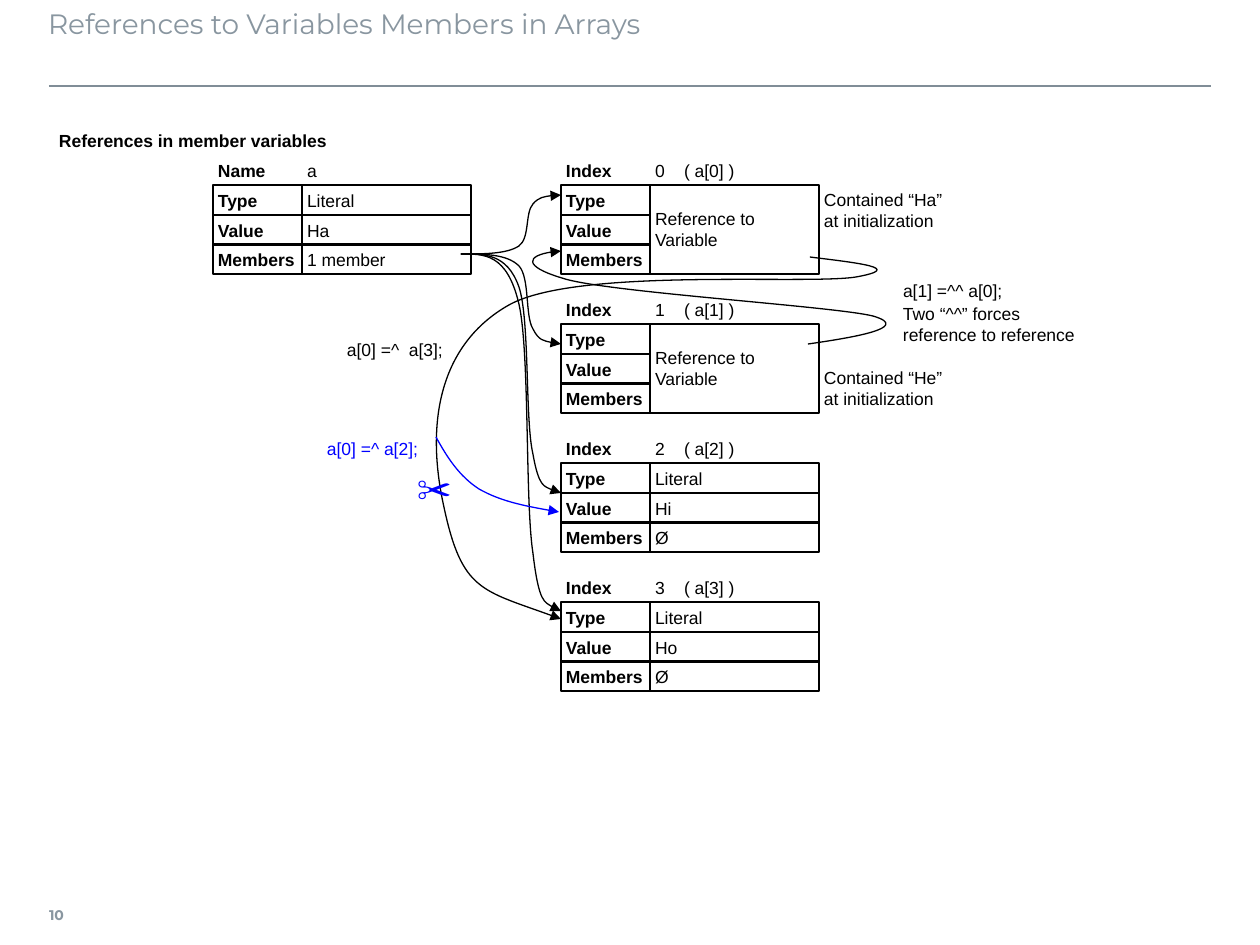
from dataclasses import dataclass

from lxml import etree
from pptx import Presentation
from pptx import util as u
from pptx.dml.color import RGBColor
from pptx.enum import shapes, text
from pptx.oxml.ns import qn

PX = 914400 / 126


@dataclass(frozen=True)
class Theme:
    ink: str = "000000"
    blue: str = "0000FF"
    heading: str = "8996A0"
    rule: str = "808D97"
    body_font: str = "Arial"
    title_font: str = "Montserrat"
    title_size: int = 16
    body_size: int = 10
    icon_size: int = 20
    number_size: int = 8
    stroke: float = 0.75


THEME = Theme()

TITLE = "References to Variables Members in Arrays"
SUBTITLE = "References in member variables"
REFERENCE = "Reference to\nVariable"
ROW_LABELS = ["Type", "Value", "Members"]

# left, top, heading label, heading value, row values (one value spans all rows)
RECORDS = [
    (213, 155, "Name", "a", ["Literal", "Ha", "1 member"]),
] + [
    (561, 155 + 139 * index, "Index", f"{index}\t( a[{index}] )", values)
    for index, values in enumerate([
        [REFERENCE],
        [REFERENCE],
        ["Literal", "Hi", "Ø"],
        ["Literal", "Ho", "Ø"],
    ])
]
LABEL_WIDTH, VALUE_WIDTH = 89, 169
RECORD_HEIGHT, ROW_HEIGHT = 119, 30
INDEX_TAB = 29

# text, (left, top, width, height), colour, size
NOTES = [
    (SUBTITLE, (54, 125, 89, 30), THEME.ink, THEME.body_size),
    ("Contained “Ha”\nat initialization", (819, 185, 139, 50), THEME.ink, THEME.body_size),
    ("Contained “He”\nat initialization", (819, 363, 139, 50), THEME.ink, THEME.body_size),
    ("✂", (412, 473, 49, 30), THEME.blue, THEME.icon_size),
    ("a[0] =^ a[2];", (322, 433, 139, 30), THEME.blue, THEME.body_size),
    ("a[0] =^  a[3];", (342, 334, 139, 30), THEME.ink, THEME.body_size),
    ("a[1] =^^ a[0];", (898, 275, 118, 30), THEME.ink, THEME.body_size),
    ("Two “^^” forces\nreference to reference", (898, 304, 189, 40), THEME.ink, THEME.body_size),
]

# Curves are a start point followed by three points per Bezier segment
MEMBER_X = [461, 484, 507, 519, 530, 525, 533, 539, 551, 561]
MEMBER_Y = [
    [254, 254, 254, 246, 238, 213, 204, 197, 195, 195],
    [254, 254, 254, 266, 278, 316, 329, 341, 343, 344],
    [254, 254, 253, 287, 320, 420, 454, 488, 490, 493],
    [254, 254, 253, 304, 353, 501, 553, 604, 607, 611],
]
CURVES = [(list(zip(MEMBER_X, heights)), THEME.ink) for heights in MEMBER_Y] + [
    ([(810, 257), (858, 263), (906, 268), (856, 277), (806, 285), (577, 267), (509, 305),
      (440, 344), (425, 422), (444, 507), (462, 591), (483, 590), (561, 619)], THEME.ink),
    ([(808, 344), (849, 338), (914, 328), (873, 316), (832, 306), (602, 292), (562, 278),
      (522, 266), (528, 253), (561, 251)], THEME.ink),
    ([(436, 437), (447, 457), (459, 476), (479, 489), (500, 501), (529, 507), (559, 512)],
     THEME.blue),
]


def emu(*lengths):
    return [u.Emu(round(length * PX)) for length in lengths]


def write(box, content, size=THEME.body_size, colour=THEME.ink, font=THEME.body_font,
          bold=False, wrap=False, anchor=text.MSO_ANCHOR.MIDDLE, insets=(5, 5, 5, 5)):
    frame = box.text_frame
    frame.auto_size = text.MSO_AUTO_SIZE.NONE
    frame.word_wrap = wrap
    frame.vertical_anchor = anchor
    (frame.margin_left, frame.margin_top,
     frame.margin_right, frame.margin_bottom) = emu(*insets)
    for number, line in enumerate(content.split("\n")):
        para = frame.add_paragraph() if number else frame.paragraphs[0]
        para.alignment = text.PP_ALIGN.LEFT
        if "\t" in line:
            tabs = etree.SubElement(para._p.get_or_add_pPr(), qn("a:tabLst"))
            etree.SubElement(tabs, qn("a:tab"), pos=str(emu(INDEX_TAB)[0]), algn="l")
        span = para.add_run()
        span.text = line
        span.font.size = u.Pt(size)
        span.font.name = font
        span.font.bold = bold
        span.font.color.rgb = RGBColor.from_string(colour)


def outline(shape, colour=THEME.ink):
    shape.shadow.inherit = False
    shape.fill.background()
    shape.line.color.rgb = RGBColor.from_string(colour)
    shape.line.width = u.Pt(THEME.stroke)


def add_label(page, place, content, **style):
    write(page.shapes.add_textbox(*emu(*place)), content, **style)


def add_cell(page, place, content, **style):
    cell = page.shapes.add_shape(shapes.MSO_SHAPE.RECTANGLE, *emu(*place))
    outline(cell)
    write(cell, content, **style)


def add_record(page, left, top, heading, name, values):
    value_left = left + LABEL_WIDTH
    edges = [top + round(RECORD_HEIGHT * row / 4) for row in range(4)]
    add_label(page, (left, top, LABEL_WIDTH, ROW_HEIGHT), heading, bold=True)
    add_label(page, (value_left, top, VALUE_WIDTH, ROW_HEIGHT), name)
    for edge, label in zip(edges[1:], ROW_LABELS):
        add_cell(page, (left, edge, LABEL_WIDTH, ROW_HEIGHT), label, bold=True)
    height = ROW_HEIGHT if len(values) > 1 else top + RECORD_HEIGHT - edges[1]
    for edge, value in zip(edges[1:], values):
        add_cell(page, (value_left, edge, VALUE_WIDTH, height), value)


def curve_bounds(points):
    """Return left, top, width and height of the drawn curve in whole px."""
    samples = []
    for first in range(0, len(points) - 1, 3):
        a, b, c, d = points[first:first + 4]
        for step in range(51):
            t = step / 50
            s = 1 - t
            samples.append([s**3 * a[k] + 3 * s * s * t * b[k] + 3 * s * t * t * c[k]
                            + t**3 * d[k] for k in (0, 1)])
    xs, ys = zip(*samples)
    left, top = round(min(xs)), round(min(ys))
    return left, top, round(max(xs)) - left, round(max(ys)) - top


def add_curve(page, points, colour):
    """Draw a Bezier arrow by turning each three line segments into one curve."""
    builder = page.shapes.build_freeform(*points[0], scale=PX)
    builder.add_line_segments(points[1:], close=False)
    curve = builder.convert_to_shape()
    left, top, width, height = curve_bounds(points)
    curve.left, curve.top, curve.width, curve.height = emu(left, top, width, height)
    track = curve._element.find(".//" + qn("a:path"))
    track.set("w", str(width))
    track.set("h", str(height))
    for node, (x, y) in zip(list(track.iter(qn("a:pt"))), points):
        node.set("x", str(x - left))
        node.set("y", str(y - top))
    steps = track.findall(qn("a:lnTo"))
    for first in range(0, len(steps), 3):
        bend = etree.SubElement(track, qn("a:cubicBezTo"))
        for step in steps[first:first + 3]:
            bend.append(step[0])
            track.remove(step)
    outline(curve, colour)
    etree.SubElement(curve.line._get_or_add_ln(), qn("a:tailEnd"), type="triangle")


def add_frame(page):
    """Place the title, the rule below it and the page number."""
    title = page.shapes.title
    title.left, title.top, title.width, title.height = emu(48, 1, 1160, 79)
    write(title, TITLE, size=THEME.title_size, colour=THEME.heading, font=THEME.title_font,
          wrap=True, anchor=text.MSO_ANCHOR.TOP, insets=(0, 6, 13, 6))
    rule = page.shapes.add_connector(shapes.MSO_CONNECTOR.STRAIGHT, *emu(49, 86, 1211, 86))
    rule.line.color.rgb = RGBColor.from_string(THEME.rule)
    rule.line.width = u.Pt(1)
    etree.SubElement(rule._element.spPr, qn("a:effectLst"))
    add_label(page, (49, 890, 44, 49), "10", size=THEME.number_size, colour=THEME.heading,
              font=THEME.title_font, bold=True, insets=(0, 6, 10, 6))


def main():
    deck = Presentation()
    deck.slide_width, deck.slide_height = emu(1260, 945)
    page = deck.slides.add_slide(deck.slide_layouts[5])
    add_frame(page)
    for record in RECORDS:
        add_record(page, *record)
    for points, colour in CURVES:
        add_curve(page, points, colour)
    for content, place, colour, size in NOTES:
        add_label(page, place, content, colour=colour, size=size, bold=content == SUBTITLE)
    deck.save("out.pptx")


if __name__ == "__main__":
    main()
